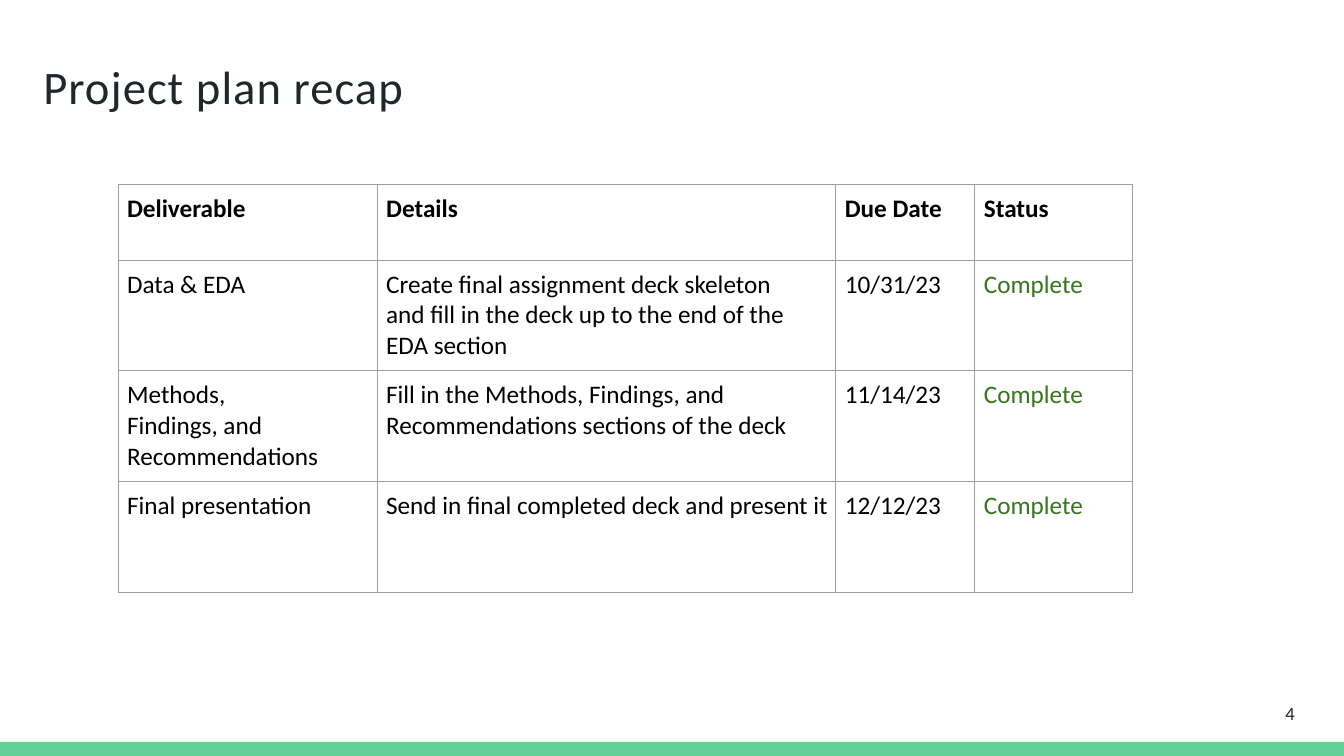
"""Build the project plan recap slide."""
from pptx import Presentation, util as u
from pptx.dml.color import RGBColor
from pptx.enum import shapes, text
from pptx.oxml import parse_xml
from pptx.oxml.ns import nsdecls

WIDTH, HEIGHT = u.Inches(13.33), u.Inches(7.5)
INK = RGBColor(0x20, 0x27, 0x29)
BLACK = RGBColor(0x00, 0x00, 0x00)
DONE = RGBColor(0x37, 0x76, 0x1C)
BAND = RGBColor(0x63, 0xD1, 0x97)
RULE = RGBColor(0x9E, 0x9E, 0x9E)

COLUMN_SHARES = [19.28, 34.13, 10.35, 11.7]
ROW_SHARES = [10, 14.67, 14.67, 14.67]
STATUS_COLUMN = 3
PLAN = [
    ["Deliverable", "Details", "Due Date", "Status"],
    ["Data & EDA",
     "Create final assignment deck skeleton and fill in the deck up to the end of the EDA section",
     "10/31/23", "Complete"],
    ["Methods,\vFindings, and Recommendations",
     "Fill in the Methods, Findings, and Recommendations sections of the deck",
     "11/14/23", "Complete"],
    ["Final presentation", "Send in final completed deck and present it",
     "12/12/23", "Complete"],
]
RIGHT_INSETS = {(1, 1): 0.4}


def across(share):
    """Turn a percentage of the slide's width into a length."""
    return round(WIDTH * share / 100)


def down(share):
    """Turn a percentage of the slide's height into a length."""
    return round(HEIGHT * share / 100)


def box(left, top, width, height):
    """Turn four percentages into a position and size."""
    return across(left), down(top), across(width), down(height)


def write(frame, words, size=18, color=BLACK, bold=False, spacing=0):
    """Write one formatted paragraph into a text frame."""
    frame.word_wrap = True
    paragraph = frame.paragraphs[0]
    paragraph.text = words
    for run in paragraph.runs:
        font = run.font
        font.name, font.size, font.bold = "Calibri", u.Pt(size), bold
        font.color.rgb = color
        if spacing:
            font._element.set("spc", str(round(spacing * 100)))


def set_insets(target, left=0, top=0, right=0):
    """Set the insets of a cell or text frame in inches."""
    target.margin_left, target.margin_top = u.Inches(left), u.Inches(top)
    target.margin_right, target.margin_bottom = u.Inches(right), 0


def add_text(slide, words, place, left=0, top=0, **format):
    """Add a text box holding one line."""
    frame = slide.shapes.add_textbox(*place).text_frame
    set_insets(frame, left, top)
    frame.vertical_anchor = text.MSO_ANCHOR.TOP
    write(frame, words, **format)


def add_band(slide, place, color):
    """Add a plain filled rectangle."""
    shape = slide.shapes.add_shape(shapes.MSO_SHAPE.RECTANGLE, *place)
    shape.shadow.inherit = False
    shape.fill.solid()
    shape.fill.fore_color.rgb = color
    shape.line.fill.background()


def draw_borders(cell):
    """Draw a thin rule on all four sides of a cell."""
    properties = cell._tc.get_or_add_tcPr()
    for side in ("lnL", "lnR", "lnT", "lnB"):
        properties.append(parse_xml(
            f'<a:{side} {nsdecls("a")} w="{u.Pt(0.75)}"><a:solidFill>'
            f'<a:srgbClr val="{RULE}"/></a:solidFill></a:{side}>'))


def add_plan(slide, left, top):
    """Add the table of deliverables."""
    place = box(left, top, sum(COLUMN_SHARES), sum(ROW_SHARES))
    table = slide.shapes.add_table(len(PLAN), len(COLUMN_SHARES), *place).table
    table.first_row = table.horz_banding = False
    for column, share in zip(table.columns, COLUMN_SHARES):
        column.width = across(share)
    for row, share in zip(table.rows, ROW_SHARES):
        row.height = down(share)
    for i, row in enumerate(PLAN):
        for j, words in enumerate(row):
            cell = table.cell(i, j)
            draw_borders(cell)
            cell.fill.background()
            set_insets(cell, 0.09, 0.09, RIGHT_INSETS.get((i, j), 0))
            color = DONE if i and j == STATUS_COLUMN else BLACK
            write(cell.text_frame, words, color=color, bold=i == 0)


def main():
    """Build and save the slide."""
    presentation = Presentation()
    presentation.slide_width, presentation.slide_height = WIDTH, HEIGHT
    slide = presentation.slides.add_slide(presentation.slide_layouts[6])
    add_band(slide, box(0, 98.13, 100, 1.87), BAND)
    add_plan(slide, 8.78, 24.4)
    add_text(slide, "Project plan recap", box(3.15, 4, 68.72, 11.07),
             left=0.01, top=0.27, size=33.3, color=INK, spacing=0.75)
    add_text(slide, "4", box(95.65, 92.8, 2.63, 2.93), size=13.3, color=INK)
    presentation.save("out.pptx")


if __name__ == "__main__":
    main()
